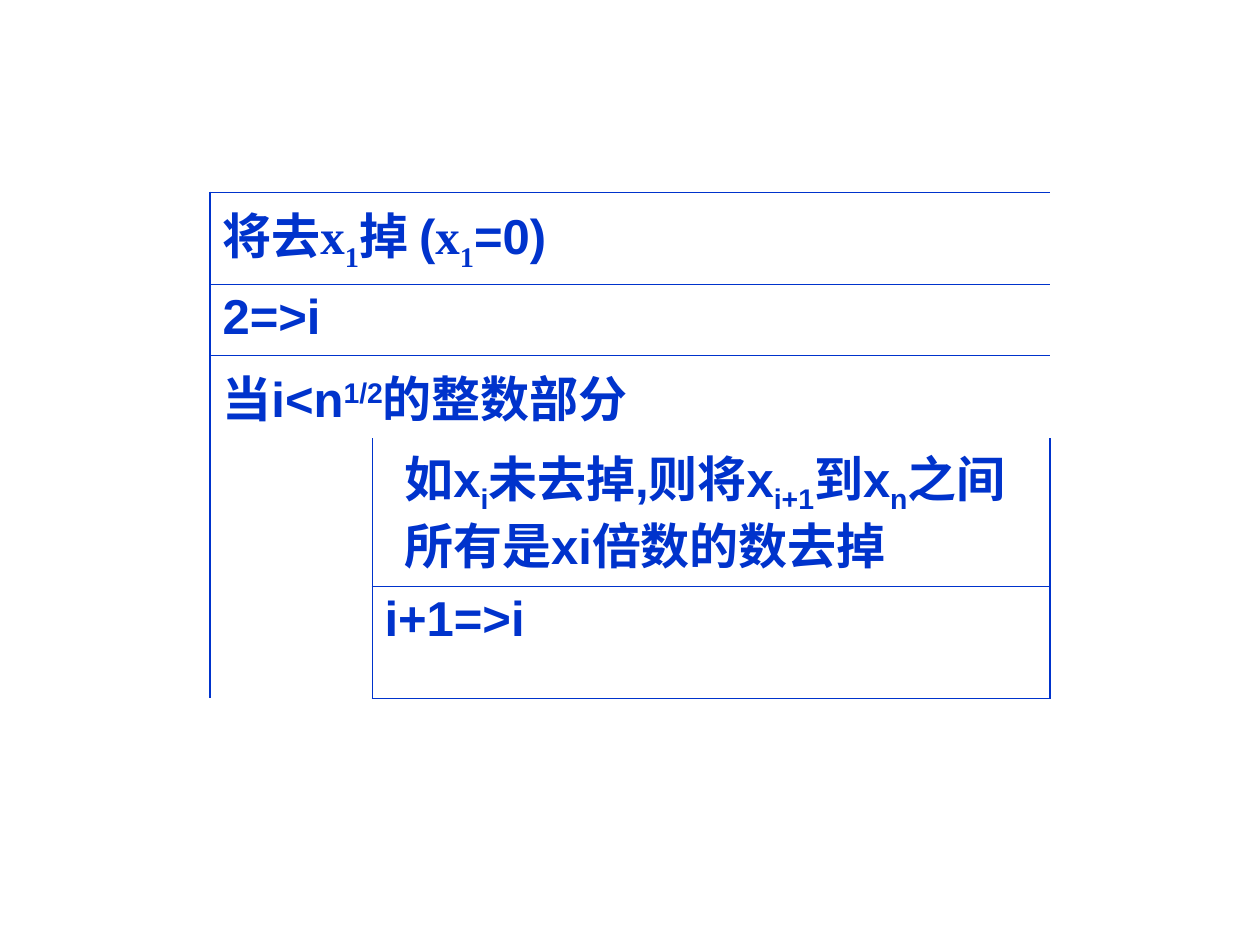
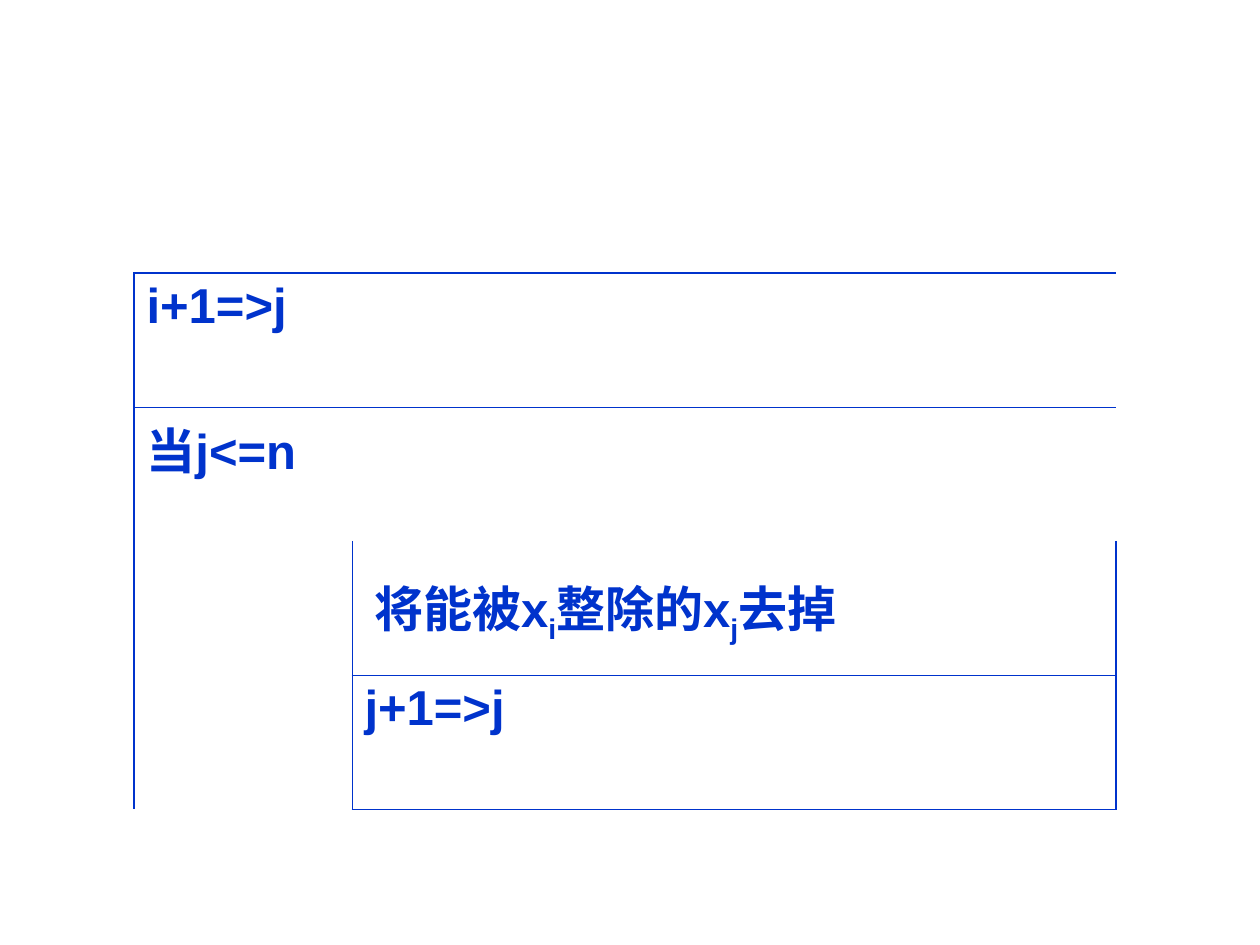
from lxml import etree
from pptx import Presentation, util as u
from pptx.dml.color import RGBColor
from pptx.enum import text
from pptx.oxml.ns import qn

COLORS = {"ink": "0033CC"}
EMU_PER_PX = 914400 / 126
THICK, THIN = 1.08, 0.45
PLAIN_TABLE = "{2D5ABB26-0587-4C30-8999-92F81FD0307C}"
SERIF = {"font": "Times New Roman"}
LOW = {"baseline": -25}
HIGH = {"baseline": 30}


def px(length):
    """Turn pixels into EMU."""
    return u.Emu(round(length * EMU_PER_PX))


def write(para, words, font="Arial", size=28, bold=True, color="ink", baseline=0):
    """Add one formatted span to a paragraph."""
    span = para.add_run()
    span.text = words
    span.font.name = font
    span.font.size = u.Pt(size)
    span.font.bold = bold
    span.font.color.rgb = RGBColor.from_string(COLORS[color])
    if baseline:
        span.font._element.set("baseline", str(baseline * 1000))


def write_all(para, pieces):
    """Add plain strings and (string, format) pairs to a paragraph."""
    for piece in pieces:
        words, style = (piece, {}) if isinstance(piece, str) else piece
        write(para, words, **style)


def draw_border(cell, side, width):
    """Draw one side of a cell, or clear it when the width is zero."""
    line = etree.SubElement(cell._tc.get_or_add_tcPr(), qn(f"a:ln{side}"))
    line.set("w", str(u.Pt(width)))
    if width:
        fill = etree.SubElement(line, qn("a:solidFill"))
        etree.SubElement(fill, qn("a:srgbClr")).set("val", COLORS["ink"])
    else:
        etree.SubElement(line, qn("a:noFill"))


class Chart:
    """A slide holding one structured flow chart."""

    def __init__(self, deck):
        """Start a blank slide."""
        self.page = deck.slides.add_slide(deck.slide_layouts[6])

    def loop_table(self, left, top, columns, rows, steps, last_step, top_width):
        """Add full-width steps, the last one a loop head, over an indented body."""
        frame = self.page.shapes.add_table(
            len(rows), 2, px(left), px(top), px(sum(columns)), px(sum(rows)))
        table = frame.table
        table.first_row = table.horz_banding = False
        table._tbl.tblPr.find(qn("a:tableStyleId")).text = PLAIN_TABLE
        for column, width in zip(table.columns, columns):
            column.width = px(width)
        for row, height in zip(table.rows, rows):
            row.height = px(height)

        body, last = len(steps), len(rows) - 1
        for row in range(len(rows)):
            for column in range(2):
                self.style_cell(table.cell(row, column), row, column, body, last, top_width)
        for row, pieces in enumerate(steps):
            table.cell(row, 0).merge(table.cell(row, 1))
            write_all(table.cell(row, 0).text_frame.paragraphs[0], pieces)
        table.cell(body, 0).merge(table.cell(last, 0))
        write_all(table.cell(last, 1).text_frame.paragraphs[0], last_step)

    def style_cell(self, cell, row, column, body, last, top_width):
        """Set the borders and fill of a cell from its place in the chart."""
        def rule_below(line):
            """Give the width of the rule under a row in this column."""
            if line == last:
                return THIN
            if line == body - 1 or (line >= body and column == 0):
                return 0
            return THIN

        divider = THIN if row >= body else 0
        draw_border(cell, "L", divider if column else THICK)
        draw_border(cell, "R", THICK if column else divider)
        draw_border(cell, "T", rule_below(row - 1) if row else top_width)
        draw_border(cell, "B", rule_below(row))
        cell.fill.background()

    def body_text(self, left, top, width, height, pieces):
        """Add the text of the first step in the loop body."""
        box = self.page.shapes.add_textbox(px(left), px(top), px(width), px(height))
        box.text_frame.word_wrap = True
        box.text_frame.auto_size = text.MSO_AUTO_SIZE.SHAPE_TO_FIT_TEXT
        write_all(box.text_frame.paragraphs[0], pieces)


def main():
    """Build the two charts of the sieve."""
    deck = Presentation()
    deck.slide_width, deck.slide_height = px(1260), px(945)

    sieve = Chart(deck)
    sieve.loop_table(
        210, 192, [162, 678], [92, 71, 78, 148, 112],
        [["将去", ("x", SERIF), ("1", SERIF | LOW), "掉 (",
          ("x", SERIF), ("1", SERIF | LOW), "=0)"],
         ["2=>i"],
         ["当i<n", ("1/2", HIGH), "的整数部分"]],
        ["i+1=>i"], THIN)
    sieve.body_text(392, 442, 635, 139, [
        "如x", ("i", LOW), "未去掉,则将x", ("i+1", LOW), "到x", ("n", LOW),
        "之间所有是xi倍数的数去掉"])

    multiples = Chart(deck)
    multiples.loop_table(
        134, 273, [218, 764], [134] * 4,
        [["i+1=>j"], ["当j<=n"]], ["j+1=>j"], THICK)
    multiples.body_text(362, 572, 546, 79, [
        "将能被x", ("i", LOW), "整除的x", ("j", LOW), "去掉"])

    deck.save("out.pptx")


if __name__ == "__main__":
    main()
